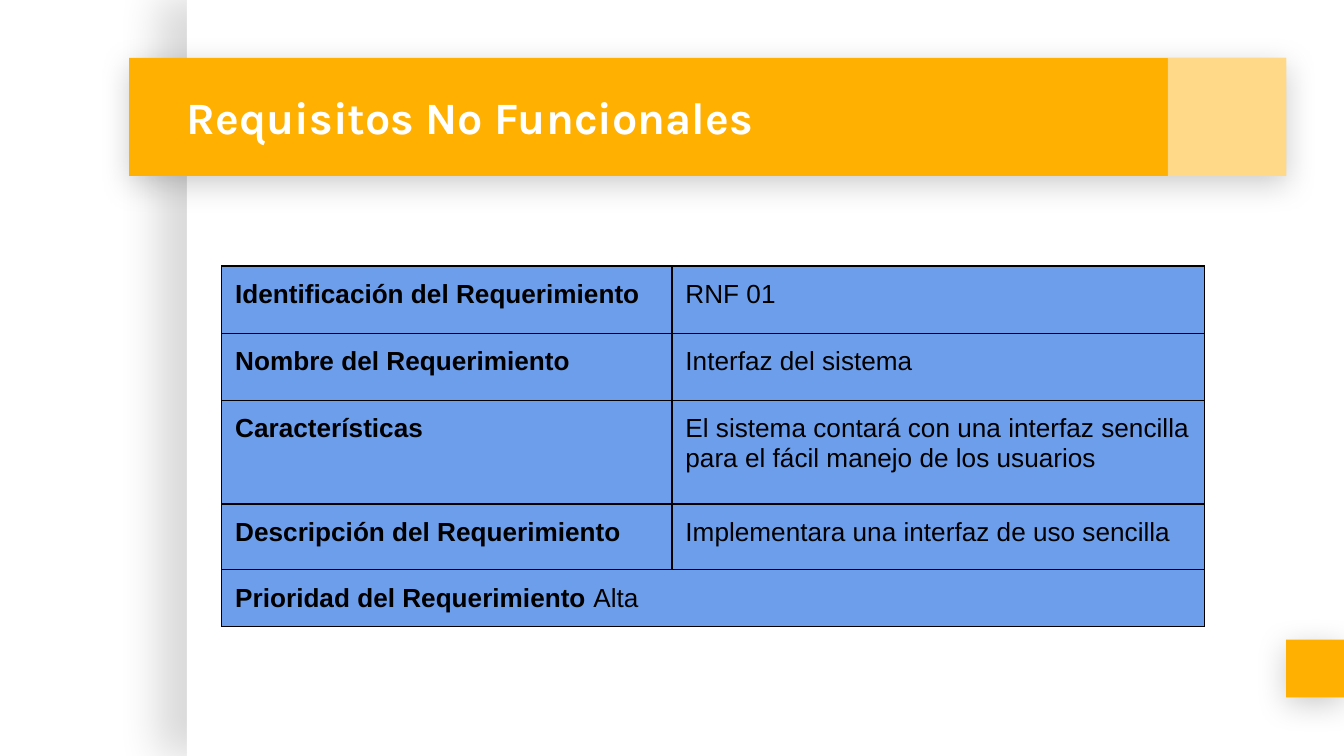
"""Build the non-functional requirements slide."""
from lxml import etree
from pptx import Presentation
from pptx import util as u
from pptx.dml.color import RGBColor
from pptx.enum import shapes, text
from pptx.oxml import ns, parse_xml

WIDTH = 10
HEIGHT = WIDTH * 9 / 16
COLORS = {"white": "FFFFFF", "amber": "FFB000", "blue": "6D9EEB", "black": "000000"}
PAGE_SHADOW = {"alpha": 15, "blur": 22.5, "distance": 15, "angle": 180}
BAR_SHADOW = {"alpha": 20, "blur": 16.9, "distance": 3.8, "angle": 90}
REQUIREMENTS = [
    ("Identificación del Requerimiento", "RNF 01"),
    ("Nombre del Requerimiento", "Interfaz del sistema"),
    ("Características",
     "El sistema contará con una interfaz sencilla para el fácil manejo de los usuarios"),
    ("Descripción del Requerimiento", "Implementara una interfaz de uso sencilla"),
]


class SlideBuilder:
    def __init__(self, slide):
        self.slide = slide
        self.margin = u.Inches(0.1)

    def color(self, name):
        return RGBColor.from_string(COLORS[name])

    def set_margins(self, target):
        target.margin_left = target.margin_right = self.margin
        target.margin_top = target.margin_bottom = self.margin

    def style_font(self, font, name, size, color, bold):
        font.name, font.size, font.bold = name, u.Pt(size), bold
        font.color.rgb = self.color(color)

    def block(self, box, color, shadow=None, opacity=None):
        shape = self.slide.shapes.add_shape(
            shapes.MSO_SHAPE.RECTANGLE, *map(u.Inches, box))
        shape.fill.solid()
        shape.fill.fore_color.rgb = self.color(color)
        shape.line.fill.background()
        shape.shadow.inherit = False
        properties = shape.element.spPr
        if opacity:
            fill_color = properties.find(".//" + ns.qn("a:srgbClr"))
            etree.SubElement(fill_color, ns.qn("a:alpha"), val=str(opacity * 1000))
        if shadow:
            properties.find(ns.qn("a:effectLst")).append(parse_xml(
                f'<a:outerShdw {ns.nsdecls("a")} blurRad="{u.Pt(shadow["blur"])}" '
                f'dist="{u.Pt(shadow["distance"])}" dir="{shadow["angle"] * 60000}" '
                f'algn="ctr" rotWithShape="0"><a:srgbClr val="{COLORS["black"]}">'
                f'<a:alpha val="{shadow["alpha"] * 1000}"/></a:srgbClr></a:outerShdw>'))

    def title(self, box, words):
        title = self.slide.shapes.title
        title.left, title.top, title.width, title.height = map(u.Inches, box)
        title.element.getparent().append(title.element)
        frame = title.text_frame
        frame.text = words
        frame.word_wrap = True
        frame.auto_size = text.MSO_AUTO_SIZE.NONE
        frame.vertical_anchor = text.MSO_ANCHOR.MIDDLE
        self.set_margins(frame)
        paragraph = frame.paragraphs[0]
        paragraph.alignment = text.PP_ALIGN.LEFT
        self.style_font(paragraph.font, "Karla", 24, "white", True)

    def cell(self, cell, runs):
        self.set_margins(cell)
        paragraph = cell.text_frame.paragraphs[0]
        for words, bold in runs:
            run = paragraph.add_run()
            run.text = words
            self.style_font(run.font, "Arial", 14, "black", bold)
        properties = cell._tc.get_or_add_tcPr()
        for side in "LRTB":
            properties.append(parse_xml(
                f'<a:ln{side} {ns.nsdecls("a")} w="{u.Pt(0.75)}"><a:solidFill>'
                f'<a:srgbClr val="{COLORS["black"]}"/></a:solidFill></a:ln{side}>'))
        cell.fill.solid()
        cell.fill.fore_color.rgb = self.color("blue")

    def table(self, left, top, widths, heights, rows):
        table = self.slide.shapes.add_table(
            len(heights), len(widths), *map(u.Inches, (left, top, sum(widths), sum(heights)))
        ).table
        table.first_row = table.horz_banding = False
        for column, width in zip(table.columns, widths):
            column.width = u.Inches(width)
        for row, height, contents in zip(table.rows, heights, rows):
            row.height = u.Inches(height)
            for cell, runs in zip(row.cells, contents):
                self.cell(cell, runs)


def main():
    presentation = Presentation()
    presentation.slide_width = u.Inches(WIDTH)
    presentation.slide_height = u.Inches(HEIGHT)
    builder = SlideBuilder(presentation.slides.add_slide(presentation.slide_layouts[5]))
    builder.block((1.39, 0, 8.61, HEIGHT), "white", PAGE_SHADOW)
    builder.block((9.57, 4.76, 0.43, 0.43), "amber", BAR_SHADOW)
    builder.block((0.96, 0.43, 8.61, 0.88), "amber", BAR_SHADOW)
    builder.block((8.69, 0.43, 0.88, 0.88), "white", opacity=53)
    builder.title((1.29, 0.43, 7.37, 0.88), "Requisitos No Funcionales")

    left, widths = 1.65, (3.35, 3.96)
    rows = [([(label, True)], [(value, False)]) for label, value in REQUIREMENTS]
    builder.table(left, 1.98, widths, (0.5, 0.5, 0.77, 0.5), rows)
    priority = [("Prioridad del Requerimiento ", True), ("Alta", False)]
    builder.table(left, 4.24, (sum(widths),), (0.42,), [[priority]])
    presentation.save("out.pptx")


if __name__ == "__main__":
    main()
